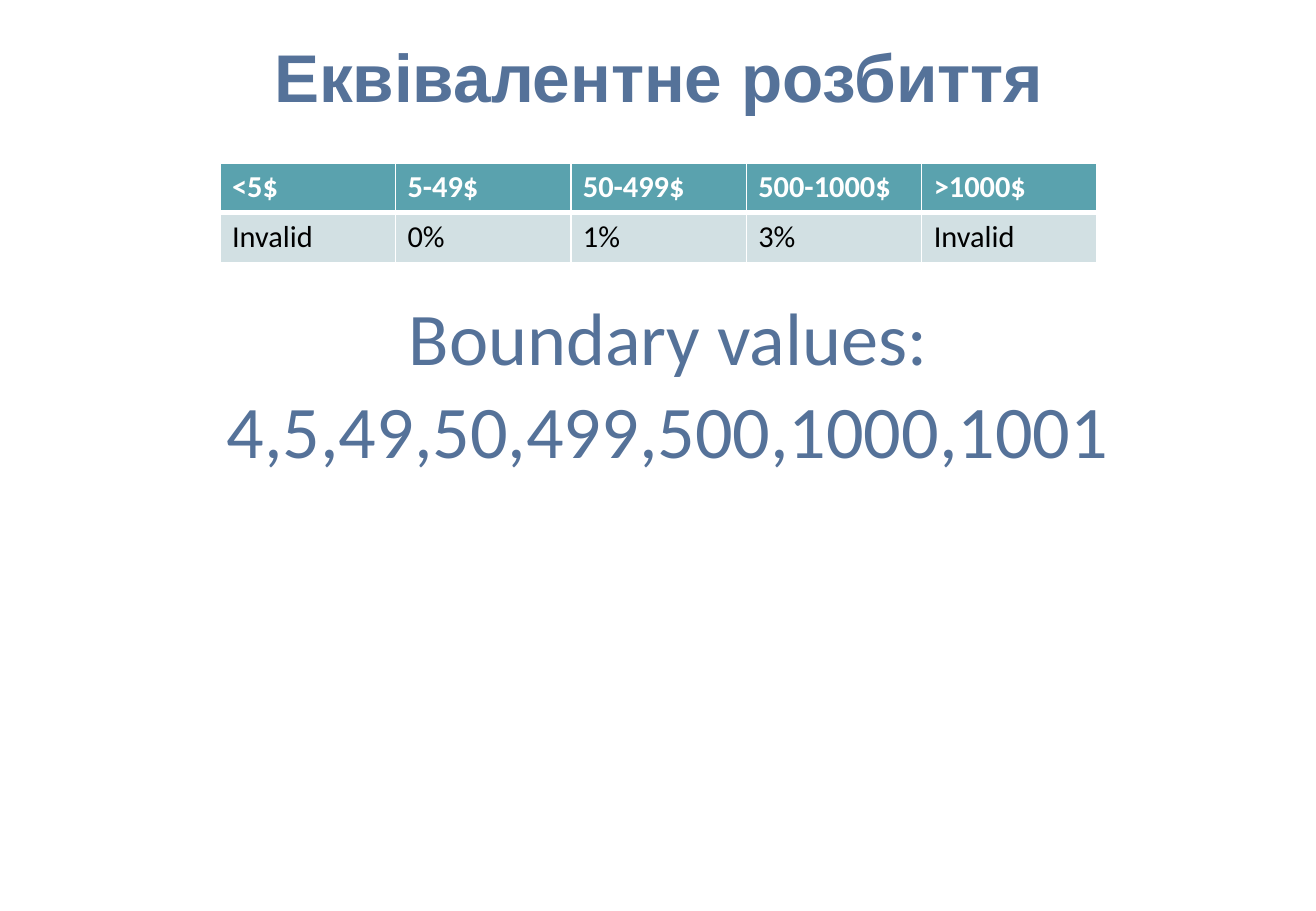
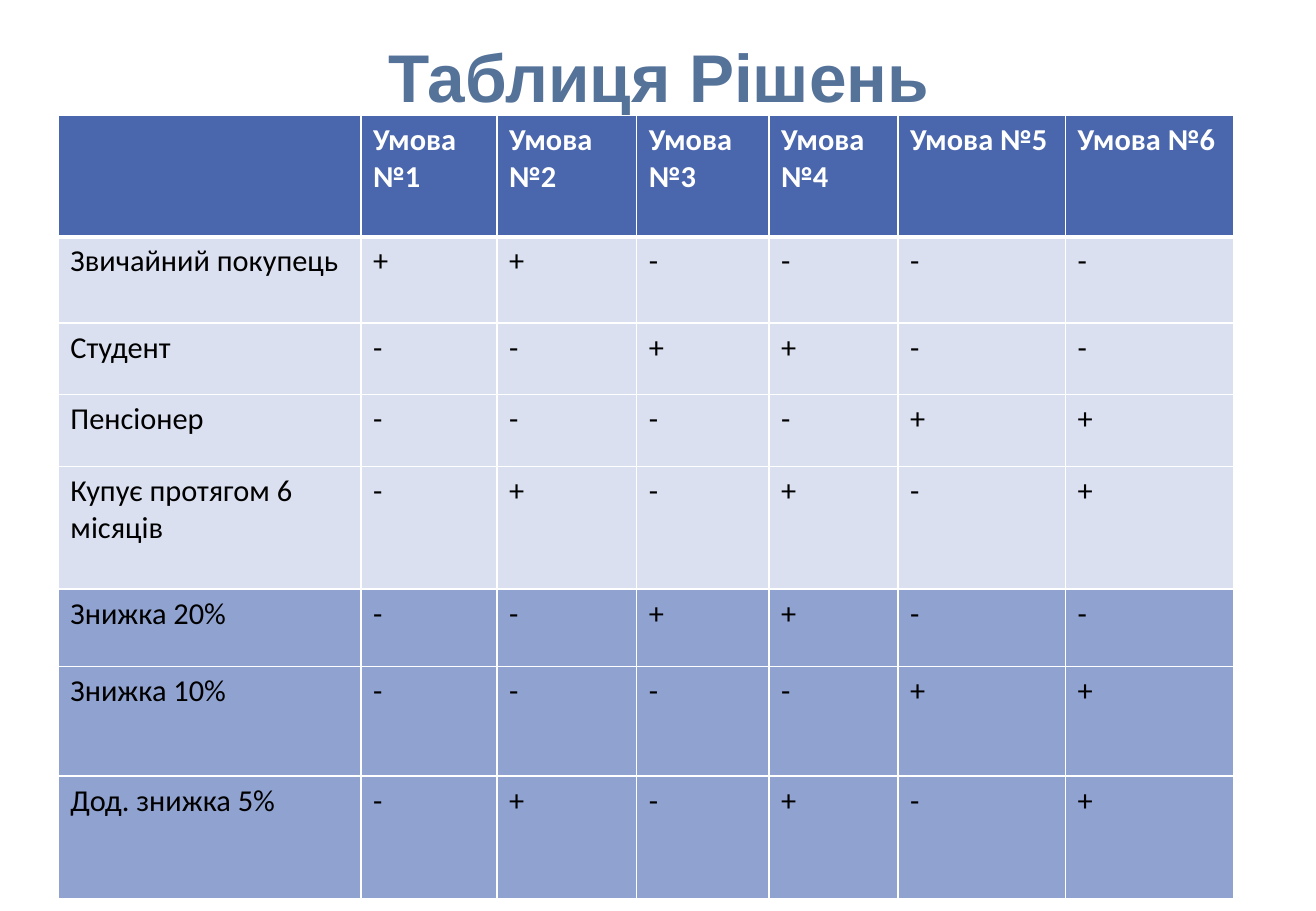
from lxml import etree
from pptx import Presentation
from pptx.dml.color import RGBColor
from pptx.enum import text
from pptx.oxml import ns
from pptx.util import Inches, Pt

# Shared style
SLATE, WHITE, BLACK = "557299", "FFFFFF", "000000"
TEAL, PALE_TEAL = "5AA2AE", "D2E0E3"
BLUE, PALE_BLUE, MID_BLUE = "4A66AC", "DAE0EF", "90A2CF"


def style(paragraph, size, color, bold=False, font="Calibri"):
    paragraph.font.size = Pt(size)
    paragraph.font.bold = bold
    paragraph.font.name = font
    paragraph.font.color.rgb = RGBColor.from_string(color)


def add_grid(slide, left, top, widths, heights, rows, fills):
    """Table with white rules, a bold header and one fill per row."""
    table = slide.shapes.add_table(
        len(rows), len(widths), Inches(left), Inches(top),
        Inches(sum(widths)), Inches(sum(heights))).table
    for column, width in zip(table.columns, widths):
        column.width = Inches(width)
    for r, values in enumerate(rows):
        table.rows[r].height = Inches(heights[r])
        for c, value in enumerate(values):
            cell = table.cell(r, c)
            cell.text = value
            style(cell.text_frame.paragraphs[0], 18,
                  BLACK if r else WHITE, bold=r == 0)
            # The rule under the header is thicker
            properties = cell._tc.get_or_add_tcPr()
            for side in "LRTB":
                thick = (r, side) in ((0, "B"), (1, "T"))
                line = etree.SubElement(properties, ns.qn("a:ln" + side),
                                        w=str(Pt(3 if thick else 1)))
                solid = etree.SubElement(line, ns.qn("a:solidFill"))
                etree.SubElement(solid, ns.qn("a:srgbClr"), val=WHITE)
            cell.fill.solid()
            cell.fill.fore_color.rgb = RGBColor.from_string(fills[r])


prs = Presentation()
prs.slide_width, prs.slide_height = Inches(10.83), Inches(7.5)

# Slides and their titles
slides = []
for heading in ("Еквівалентне розбиття", "Таблиця Рішень"):
    slide = prs.slides.add_slide(prs.slide_layouts[0])
    slides.append(slide)
    title = slide.shapes.title
    title.left, title.top = Inches(1.59), Inches(0.21)
    title.width, title.height = Inches(7.66), Inches(0.9)
    title.text_frame.text = heading
    title.text_frame.auto_size = text.MSO_AUTO_SIZE.NONE
    title.text_frame.vertical_anchor = text.MSO_ANCHOR.MIDDLE
    paragraph = title.text_frame.paragraphs[0]
    paragraph.alignment = text.PP_ALIGN.CENTER
    paragraph.line_spacing = 0.9
    style(paragraph, 40, SLATE, bold=True, font="Arial")
partition, decisions = slides

# Equivalence partitions and boundary values
add_grid(partition, 1.81, 1.34, [1.444] * 5, [0.41] * 2,
         [["<5$", "5-49$", "50-499$", "500-1000$", ">1000$"],
          ["Invalid", "0%", "1%", "3%", "Invalid"]],
         [TEAL, PALE_TEAL])

boundaries = partition.placeholders[1]
boundaries.left, boundaries.top = Inches(0.74), Inches(2.43)
boundaries.width, boundaries.height = Inches(9.52), Inches(2.17)
boundaries.text_frame.text = "Boundary values:\n4,5,49,50,499,500,1000,1001"
boundaries.text_frame.auto_size = text.MSO_AUTO_SIZE.NONE
boundaries.text_frame.vertical_anchor = text.MSO_ANCHOR.TOP
for paragraph in boundaries.text_frame.paragraphs:
    paragraph.alignment = text.PP_ALIGN.CENTER
    paragraph.line_spacing = 0.9
    paragraph.space_before = Pt(7.5)
    style(paragraph, 44, SLATE)

# Decision table: conditions, then discounts
unused = decisions.placeholders[1].element
unused.getparent().remove(unused)

rules = [
    ("Звичайний покупець", "++----"),
    ("Студент", "--++--"),
    ("Пенсіонер", "----++"),
    ("Купує протягом 6 місяців", "-+-+-+"),
    ("Знижка 20%", "--++--"),
    ("Знижка 10%", "----++"),
    ("Дод. знижка 5%", "-+-+-+"),
]
header = [""] + [f"Умова №{number}" for number in range(1, 7)]
add_grid(decisions, 0.48, 0.95,
         [2.49, 1.12, 1.15, 1.09, 1.06, 1.38, 1.38],
         [1, 0.71, 0.59, 0.59, 1.01, 0.64, 0.9, 1.01],
         [header] + [[name, *marks] for name, marks in rules],
         [BLUE] + [PALE_BLUE] * 4 + [MID_BLUE] * 3)

prs.save("out.pptx")
